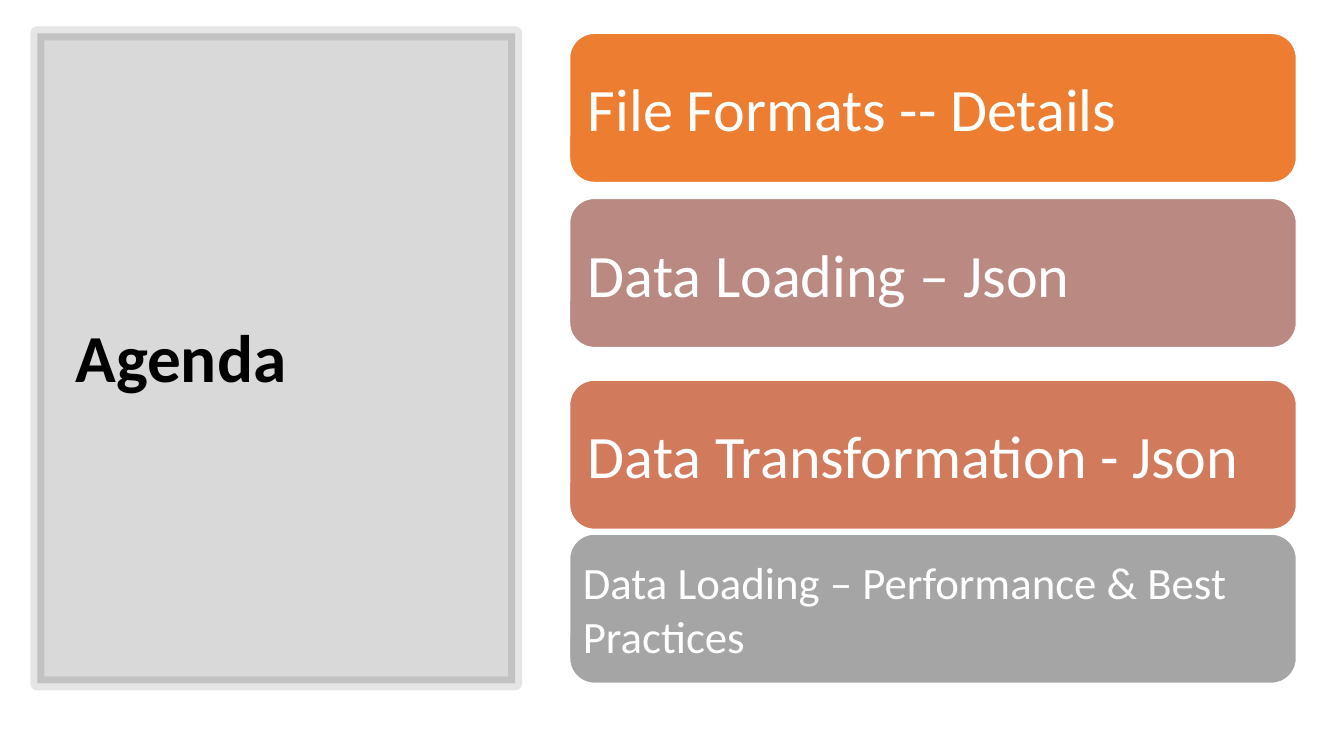
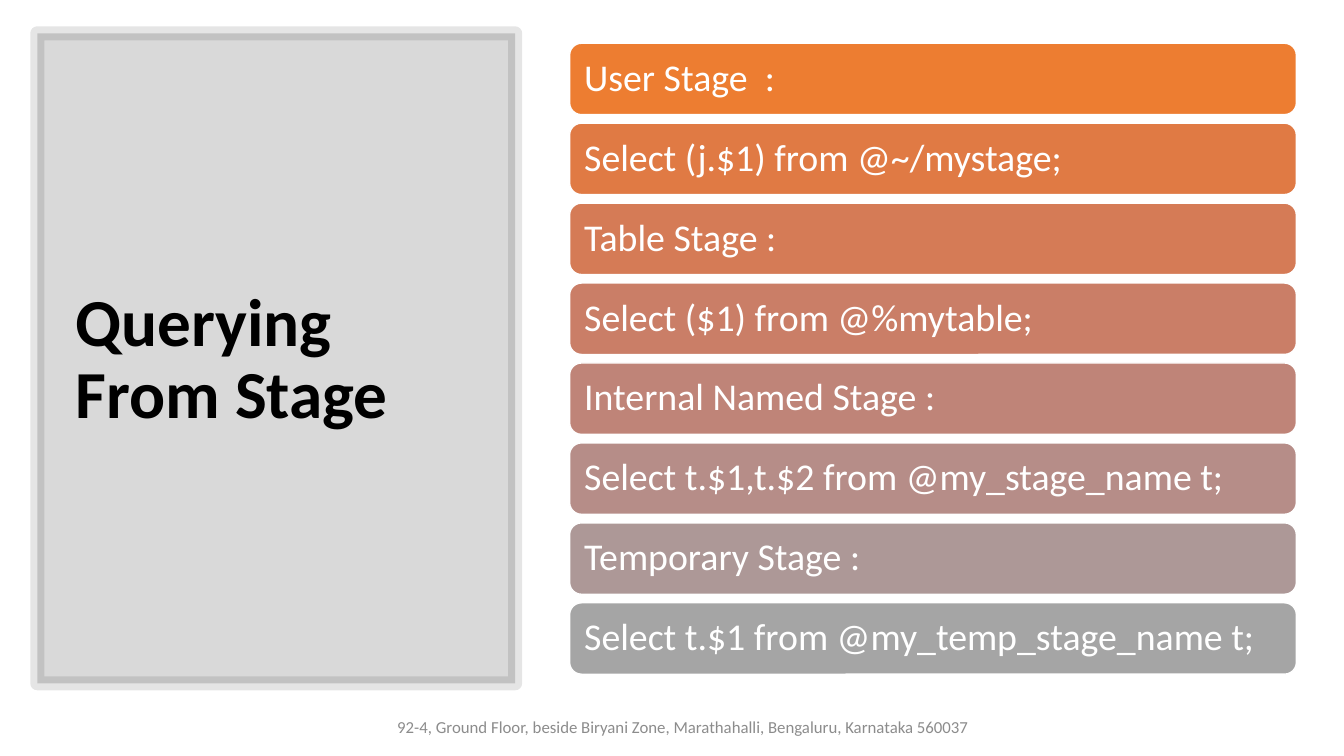
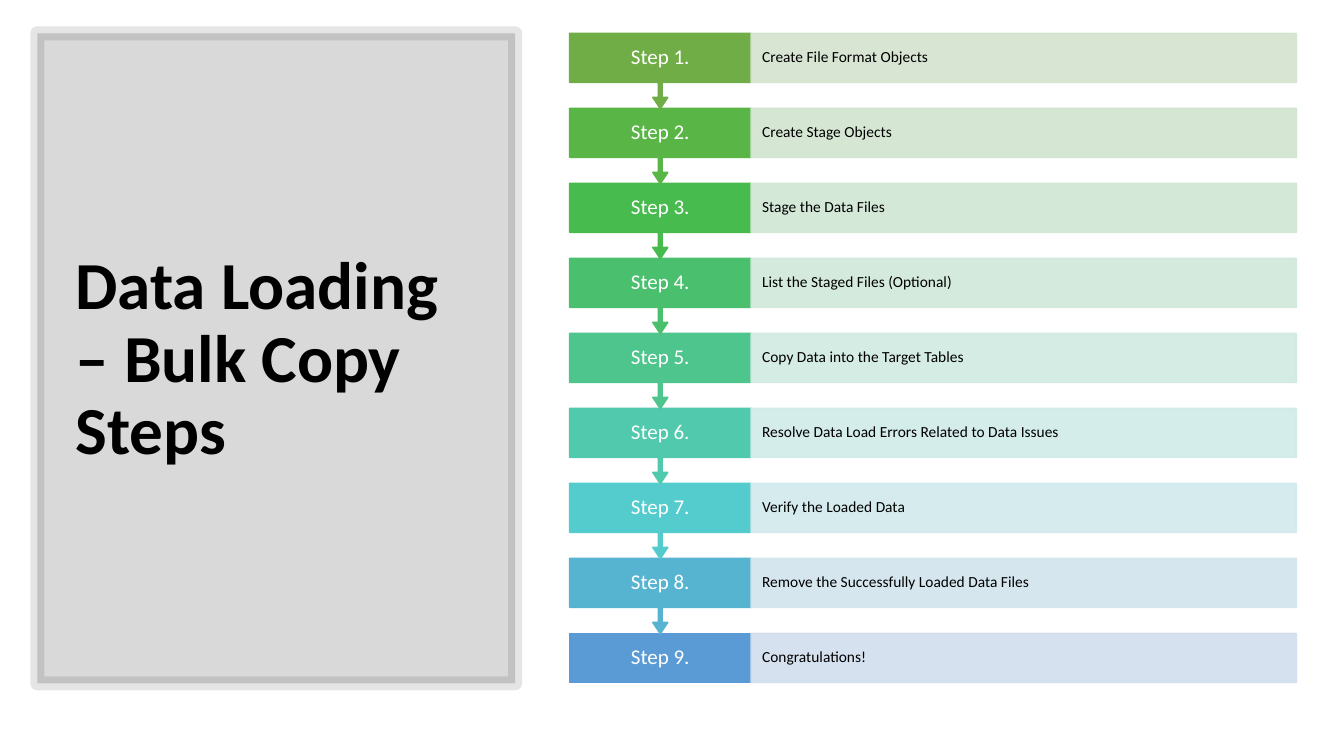
"""Build three data loading slides that share a grey title panel."""
from lxml import etree
from pptx import Presentation
from pptx import util as u
from pptx.dml.color import RGBColor
from pptx.enum import shapes, text
from pptx.oxml.ns import qn

SHAPE = shapes.MSO_SHAPE
ALIGN = text.PP_ALIGN
COLUMN_X, COLUMN_W = 14.35, 18.31
LABEL_W = 4.57

AGENDA = [
    ("File Formats -- Details", "ED7D31", 0.84, 43, 0.28),
    ("Data Loading – Json", "B98982", 5.0, 43, 0.28),
    ("Data Transformation - Json", "D17B5C", 9.58, 43, 0.28),
    ("Data Loading – Performance & Best Practices", "A5A5A5", 13.46, 32, 0.15),
]
QUERIES = [
    ("User Stage  :", "ED7D31"),
    ("Select (j.$1) from @~/mystage;", "E07A44"),
    ("Table Stage :", "D57B56"),
    ("Select ($1) from @%mytable;", "CA7E67"),
    ("Internal Named Stage :", "BF8478"),
    ("Select t.$1,t.$2 from @my_stage_name t;", "B68D88"),
    ("Temporary Stage :", "AD9897"),
    ("Select t.$1 from @my_temp_stage_name t;", "A5A5A5"),
]
STEPS = [
    ("Create File Format Objects", "70AD47", "D5E3CF"),
    ("Create Stage Objects", "59B546", "D1E5CF"),
    ("Stage the Data Files", "48BB4F", "D0E6D4"),
    ("List the Staged Files (Optional)", "4AC06E", "D0E8DA"),
    ("Copy Data into the Target Tables", "4DC58D", "D0EAE1"),
    ("Resolve Data Load Errors Related to Data Issues", "51C9AD", "D0EBE8"),
    ("Verify the Loaded Data", "54CCCD", "D1E9ED"),
    ("Remove the Successfully Loaded Data Files", "57B4D1", "D1E4EE"),
    ("Congratulations!", "5B9BD5", "D2DEEF"),
]


def paint(fill, color, alpha=100):
    """Set a solid fill from a hex string, with opacity in percent."""
    fill.solid()
    fill.fore_color.rgb = RGBColor.from_string(color)
    if alpha < 100:
        clr = fill._xPr.find(qn("a:solidFill"))[0]
        etree.SubElement(clr, qn("a:alpha"), val=str(alpha * 1000))


class Deck:
    """Hold the presentation, its style and the current slide."""

    font = "Calibri"

    def __init__(self):
        self.prs = Presentation()
        self.prs.slide_width, self.prs.slide_height = u.Inches(13.33), u.Inches(7.5)

    def slide(self, title):
        """Add a slide with the grey panel and its title."""
        self.s = self.prs.slides.add_slide(self.prs.slide_layouts[5])
        self.shape(SHAPE.RECTANGLE, (0.94, 0.84, 12.04, 16.38), "000000", 15,
                   line="000000", line_w=10, line_alpha=10)
        sp = self.s.shapes.title
        sp.left, sp.top, sp.width, sp.height = map(u.Cm, (1.65, 1.78, 10.57, 14.61))
        self.s.shapes._spTree.append(sp._element)
        self.set_text(sp, title, 48, "000000", inset=0.25, spacing=0.9, bold=True)

    def shape(self, kind, box, color, alpha=100, line="FFFFFF", line_w=1, line_alpha=100):
        """Add a filled and outlined preset shape."""
        sp = self.s.shapes.add_shape(kind, *map(u.Cm, box))
        sp.shadow.inherit = False
        paint(sp.fill, color, alpha)
        paint(sp.line.fill, line, line_alpha)
        sp.line.width = u.Pt(line_w)
        return sp

    def set_text(self, sp, words, size, color, inset=0.28, align=ALIGN.LEFT,
                 spacing=1.0, bold=False):
        """Put one formatted, vertically centred paragraph into a shape."""
        tf = sp.text_frame
        tf.word_wrap = True
        tf.auto_size = text.MSO_AUTO_SIZE.NONE
        tf.vertical_anchor = text.MSO_ANCHOR.MIDDLE
        tf.margin_left = tf.margin_right = u.Cm(inset)
        tf.margin_top = tf.margin_bottom = 0
        p = tf.paragraphs[0]
        p.text, p.alignment, p.line_spacing = words, align, spacing
        p.font.name, p.font.size, p.font.bold = self.font, u.Pt(size), bold
        paint(p.font.fill, color)

    def bar(self, words, color, top, height, size, inset=0.28, spacing=1.0):
        """Add a rounded bar in the right column."""
        sp = self.shape(SHAPE.ROUNDED_RECTANGLE, (COLUMN_X, top, COLUMN_W, height), color)
        self.set_text(sp, words, size, "FFFFFF", inset, spacing=spacing)

    def step(self, label, detail, color, tint, top, last):
        """Add a step label, with an arrow unless it is last, and its detail."""
        kind, height = (SHAPE.RECTANGLE, 1.24) if last else (SHAPE.DOWN_ARROW_CALLOUT, 1.9)
        sp = self.shape(kind, (COLUMN_X, top, LABEL_W, height), color, line=color)
        for i, value in enumerate(() if last else (0.05, 0.1, 0.15, 0.65)):
            sp.adjustments[i] = value
        self.set_text(sp, label, 15, "FFFFFF", align=ALIGN.CENTER, spacing=0.9)
        box = (COLUMN_X + LABEL_W, top, COLUMN_W - LABEL_W, 1.24)
        sp = self.shape(SHAPE.RECTANGLE, box, tint, 90, line=tint, line_alpha=90)
        self.set_text(sp, detail, 11, "000000", spacing=0.9)

    def footer(self, words):
        """Add the centred footer line."""
        sp = self.s.shapes.add_textbox(*map(u.Cm, (8.03, 17.81, 18.36, 0.99)))
        self.set_text(sp, words, 12, "8C8C8C", align=ALIGN.CENTER)


def main():
    """Build and save the slides."""
    deck = Deck()

    deck.slide("Agenda")
    for words, color, top, size, inset in AGENDA:
        deck.bar(words, color, top, 3.76, size, inset)

    deck.slide("Querying From Stage")
    for i, (words, color) in enumerate(QUERIES):
        deck.bar(words, color, 1.09 + i * 14.1 / 7, 1.8, 27, spacing=0.9)
    deck.footer("92-4, Ground Floor, beside Biryani Zone, Marathahalli, Bengaluru, Karnataka 560037")

    deck.slide("Data Loading – Bulk Copy Steps")
    for i, (detail, color, tint) in reversed(list(enumerate(STEPS))):
        deck.step(f"Step {i + 1}.", detail, color, tint, 0.84 + i * 1.89, i == len(STEPS) - 1)

    deck.prs.save("out.pptx")


if __name__ == "__main__":
    main()
